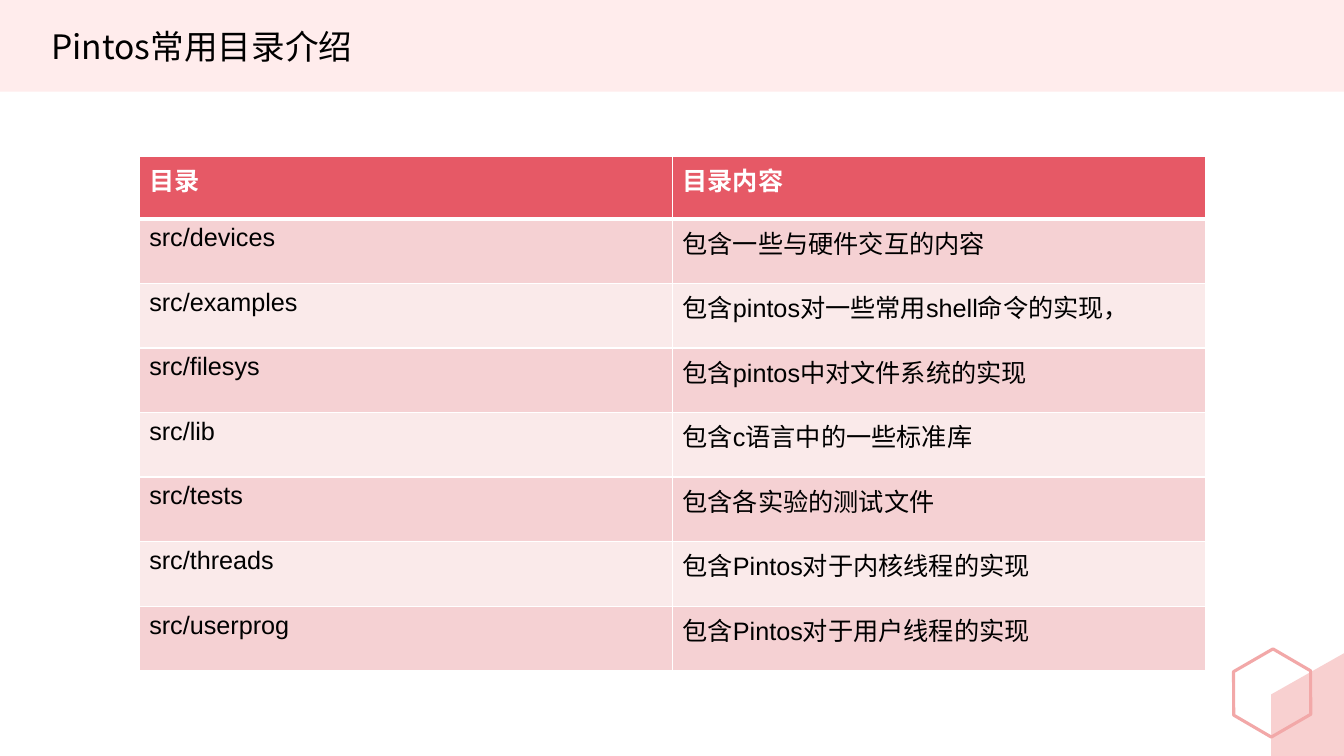
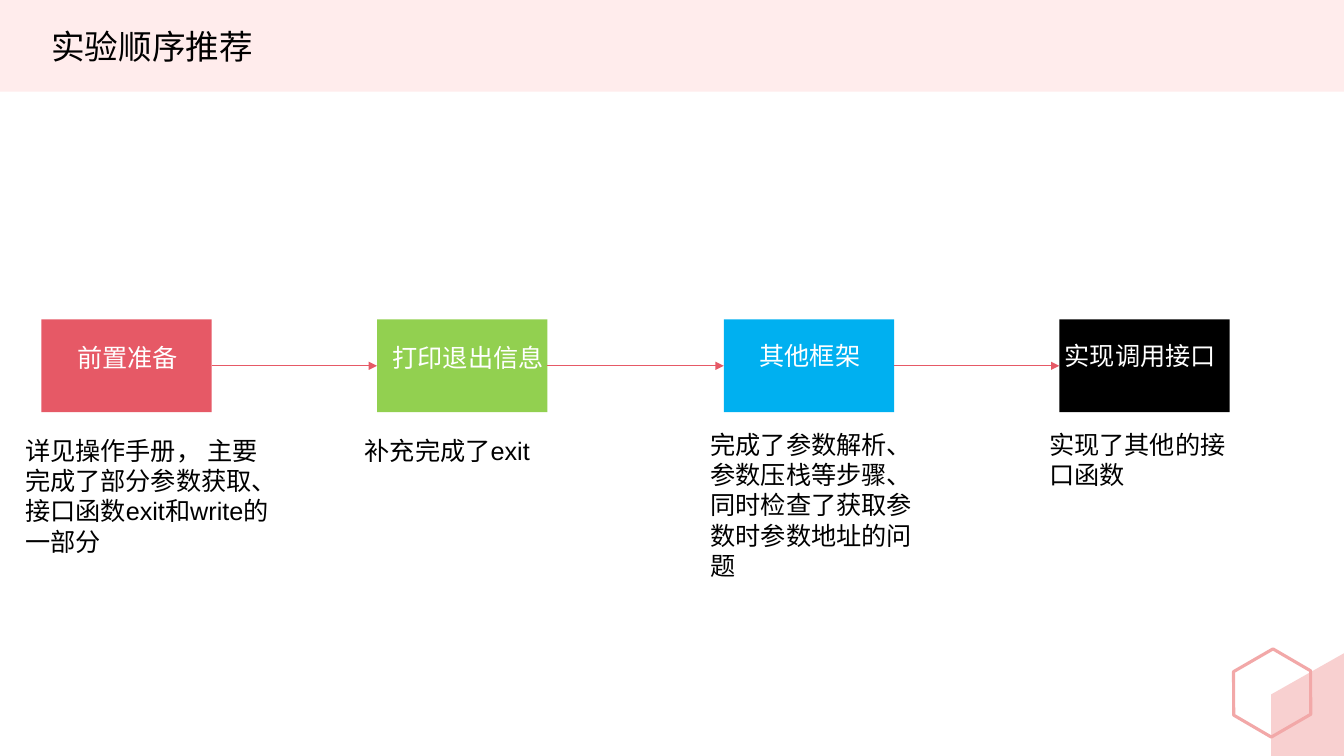
"""Build two slides on Pintos: its common directories and the suggested lab order."""
from dataclasses import dataclass
from itertools import pairwise

from lxml.etree import SubElement
from pptx import Presentation
from pptx.dml.color import RGBColor
from pptx.dml.fill import FillFormat
from pptx.enum.dml import MSO_LINE
from pptx.enum.shapes import MSO_CONNECTOR, MSO_SHAPE, PP_PLACEHOLDER
from pptx.enum.text import MSO_ANCHOR, MSO_AUTO_SIZE, PP_ALIGN
from pptx.oxml.ns import qn
from pptx.shapes.autoshape import Shape
from pptx.slide import Slide, SlideLayout
from pptx.table import _Cell
from pptx.text.text import TextFrame
from pptx.util import Pt

LATIN, CJK = "Arial", "Noto Sans CJK SC"
RED, ROSE, BAND = "E65966", "F2A8A8", "FFECEC"
ROW_FILLS = ("FAEAEA", "F5D1D3")
BLACK, WHITE = "000000", "FFFFFF"
BOX_TOP, BOX_W, BOX_H = 228.2, 121.7, 66.2


@dataclass(frozen=True)
class Step:
    """One box of the lab order with its label nudge and its caption."""

    label: str
    color: str
    left: float
    label_dx: float
    label_top: float
    note: str
    note_left: float
    note_top: float
    note_w: float
    note_h: float


DIRECTORIES = [
    ("目录", "目录内容"),
    ("src/devices", "包含一些与硬件交互的内容"),
    ("src/examples", "包含pintos对一些常用shell命令的实现，"),
    ("src/filesys", "包含pintos中对文件系统的实现"),
    ("src/lib", "包含c语言中的一些标准库"),
    ("src/tests", "包含各实验的测试文件"),
    ("src/threads", "包含Pintos对于内核线程的实现"),
    ("src/userprog", "包含Pintos对于用户线程的实现"),
]

STEPS = [
    Step("前置准备", RED, 29.5, 0.7, 16.6,
         "详见操作手册， 主要完成了部分参数获取、接口函数exit和write的一部分",
         10.8, 307.4, 192.2, 94.3),
    Step("打印退出信息", "92D050", 269.3, 4.3, 16.6,
         "补充完成了exit", 253.4, 307.4, 162.7, 28.8),
    Step("其他框架", "00B0F0", 517, 0.7, 15.1,
         "完成了参数解析、参数压栈等步骤、同时检查了获取参数时参数地址的问题",
         500.4, 303.1, 162.7, 116.6),
    Step("实现调用接口", BLACK, 756.7, -3, 15.1,
         "实现了其他的接口函数", 742.3, 303.1, 151.9, 51.1),
]


def paint(fill: FillFormat, color: str, alpha: int = 100) -> None:
    """Fill with a hex colour at the given percentage of opacity."""
    fill.solid()
    fill.fore_color.rgb = RGBColor.from_string(color)
    if alpha < 100:
        clr = fill._xPr.find(f"{qn('a:solidFill')}/{qn('a:srgbClr')}")
        SubElement(clr, qn("a:alpha"), val=str(alpha * 1000))


def write(tf: TextFrame, text: str, color: str = BLACK, size: float = 18,
          latin: str = LATIN, bold: bool = False,
          align: PP_ALIGN = PP_ALIGN.LEFT) -> None:
    """Add one formatted run to the first paragraph of a frame."""
    p = tf.paragraphs[0]
    p.alignment = align
    r = p.add_run()
    r.text = text
    r.font.size, r.font.bold = Pt(size), bold
    paint(r.font.fill, color)
    r.font.name = latin
    SubElement(r.font._element, qn("a:ea"), typeface=CJK)


def add_box(s: Slide, kind: MSO_SHAPE, left: float, top: float, width: float,
            height: float) -> Shape:
    """Add a preset shape with neither shadow nor outline."""
    sp = s.shapes.add_shape(kind, Pt(left), Pt(top), Pt(width), Pt(height))
    sp.shadow.inherit = False
    sp.line.fill.background()
    return sp


def dress_layout(layout: SlideLayout, s: Slide) -> None:
    """Give the layout its title place, top band and corner ornament."""
    for ph in list(layout.placeholders):
        if ph.placeholder_format.type == PP_PLACEHOLDER.TITLE:
            title = ph
        else:
            ph.element.getparent().remove(ph.element)
    title.left, title.top = Pt(29.5), Pt(15.1)
    title.width, title.height = Pt(348.5), Pt(36)

    band = add_box(s, MSO_SHAPE.RECTANGLE, 0, 0, 960, 65.5)
    paint(band.fill, BAND)

    hexagon = add_box(s, MSO_SHAPE.HEXAGON, 877, 468, 63.4, 54)
    hexagon.adjustments[0] = 0.286
    hexagon.rotation = 330
    hexagon.fill.background()
    paint(hexagon.line.fill, ROSE)
    hexagon.line.width = Pt(2.25)

    fb = s.shapes.build_freeform(Pt(908), Pt(496))
    fb.add_line_segments([(Pt(x), Pt(y)) for x, y in
                          ((960, 466.6), (960, 540), (908, 540))])
    corner = fb.convert_to_shape()
    corner.shadow.inherit = False
    corner.line.fill.background()
    paint(corner.fill, ROSE, 53)

    for sp in (band, hexagon, corner):
        title.element.addprevious(sp.element)


def set_title(s: Slide, text: str) -> None:
    """Write the slide title in the shared style."""
    tf = s.shapes.title.text_frame
    tf.auto_size = MSO_AUTO_SIZE.NONE
    tf.vertical_anchor = MSO_ANCHOR.TOP
    write(tf, text, size=24, latin=CJK)


def set_borders(cell: _Cell, top: float, bottom: float) -> None:
    """Draw white borders around a table cell."""
    tcPr = cell._tc.get_or_add_tcPr()
    for side, width in (("L", 1), ("R", 1), ("T", top), ("B", bottom)):
        ln = SubElement(tcPr, qn(f"a:ln{side}"), w=str(Pt(width)))
        SubElement(SubElement(ln, qn("a:solidFill")), qn("a:srgbClr"), val=WHITE)


def add_directories(s: Slide) -> None:
    """Add the table of source directories."""
    tbl = s.shapes.add_table(len(DIRECTORIES), 2, Pt(99.4), Pt(111.8),
                             Pt(761.8), Pt(367.3)).table
    for i, texts in enumerate(DIRECTORIES):
        head = i == 0
        tbl.rows[i].height = Pt(44.6 if head else 46.1)
        for j, text in enumerate(texts):
            cell = tbl.cell(i, j)
            set_borders(cell, 3 if i == 1 else 1, 3 if head else 1)
            paint(cell.fill, RED if head else ROW_FILLS[i % 2])
            write(cell.text_frame, text, WHITE if head else BLACK, bold=head)


def add_step(s: Slide, step: Step) -> Shape:
    """Add a labelled box and the caption under it."""
    sp = add_box(s, MSO_SHAPE.RECTANGLE, step.left, BOX_TOP, BOX_W, BOX_H)
    paint(sp.fill, step.color)
    tf = sp.text_frame
    tf.word_wrap = True
    tf.vertical_anchor = MSO_ANCHOR.TOP
    tf.margin_top = Pt(step.label_top)
    tf.margin_left = Pt(max(2 * step.label_dx, 0))
    tf.margin_right = Pt(max(-2 * step.label_dx, 0))
    write(tf, step.label, WHITE, align=PP_ALIGN.CENTER)

    note = s.shapes.add_textbox(Pt(step.note_left), Pt(step.note_top),
                                Pt(step.note_w), Pt(step.note_h))
    note.text_frame.word_wrap = True
    write(note.text_frame, step.note)
    return sp


def add_arrow(s: Slide, start: Shape, end: Shape) -> None:
    """Join two boxes, right side to left side, with a thin arrow."""
    cx = s.shapes.add_connector(MSO_CONNECTOR.STRAIGHT, 0, 0, 0, 0)
    cx.begin_connect(start, 3)
    cx.end_connect(end, 1)
    paint(cx.line.fill, RED)
    cx.line.width = Pt(0.5)
    cx.line.dash_style = MSO_LINE.SOLID
    SubElement(cx.line._get_or_add_ln(), qn("a:tailEnd"), type="triangle")
    SubElement(cx.element.spPr, qn("a:effectLst"))


def main() -> None:
    """Build and save the presentation."""
    prs = Presentation()
    prs.slide_width, prs.slide_height = Pt(960), Pt(540)
    layout = prs.slide_layouts.get_by_name("Title Only")

    s = prs.slides.add_slide(layout)
    dress_layout(layout, s)
    set_title(s, "Pintos常用目录介绍")
    add_directories(s)

    s = prs.slides.add_slide(layout)
    set_title(s, "实验顺序推荐")
    boxes = [add_step(s, step) for step in STEPS]
    for start, end in pairwise(boxes):
        add_arrow(s, start, end)

    prs.save("out.pptx")


if __name__ == "__main__":
    main()
